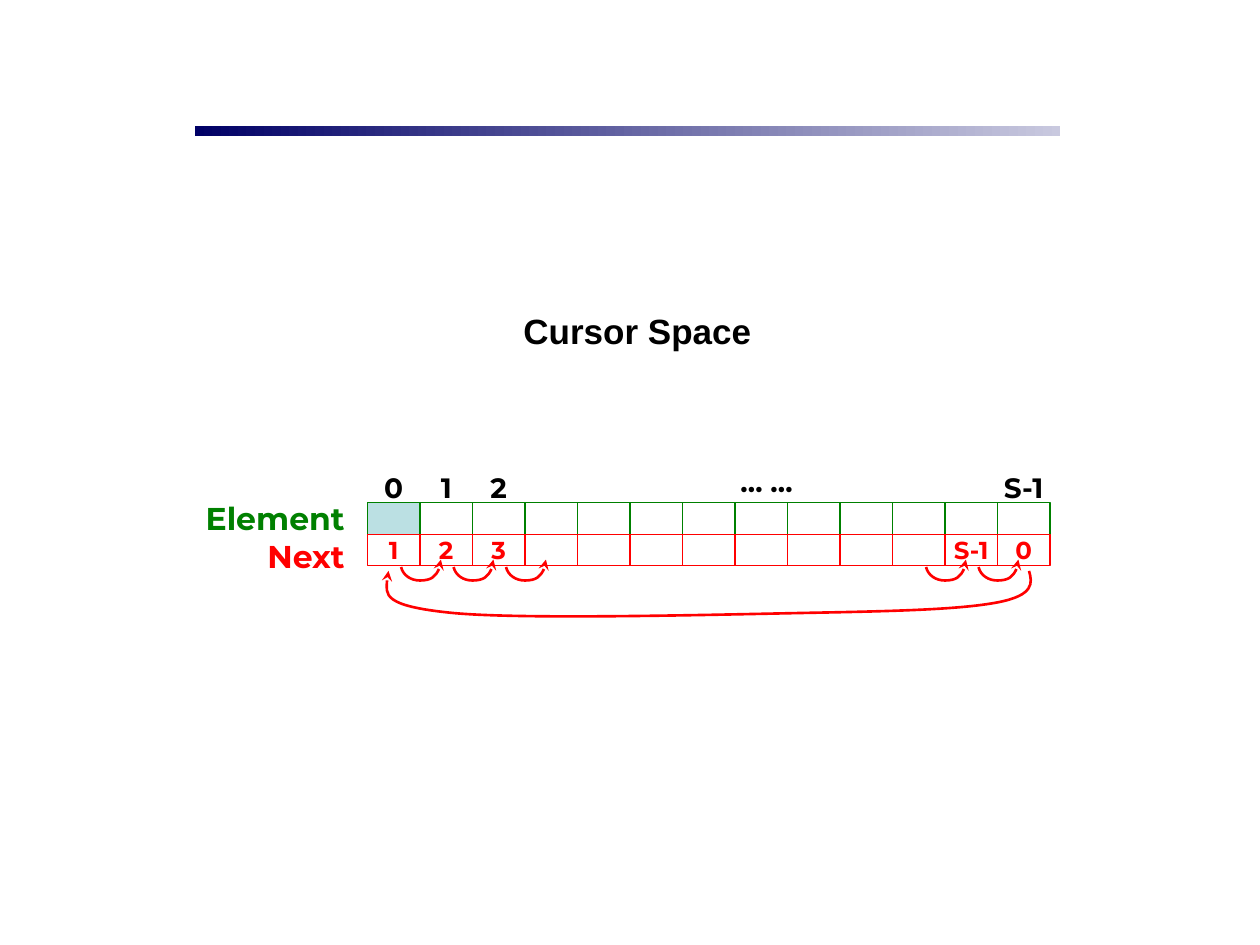
from dataclasses import dataclass

from lxml.etree import SubElement
from pptx import Presentation
from pptx.dml.color import RGBColor
from pptx.enum.shapes import MSO_SHAPE
from pptx.enum.text import MSO_ANCHOR, MSO_AUTO_SIZE, PP_ALIGN
from pptx.oxml.ns import qn
from pptx.util import Pt


@dataclass(frozen=True)
class Theme:
    """Colours, fonts and type sizes of the slide."""
    black: RGBColor = RGBColor(0, 0, 0)
    green: RGBColor = RGBColor(0, 0x80, 0)
    red: RGBColor = RGBColor(0xFF, 0, 0)
    used: RGBColor = RGBColor(0xBB, 0xE0, 0xE3)
    bar_start: RGBColor = RGBColor(0, 0, 0x66)
    bar_end: RGBColor = RGBColor(0xC9, 0xC9, 0xDF)
    title_font: str = "Arial"
    font: str = "Montserrat"
    title_size: int = 20
    label_size: int = 18
    index_size: int = 16
    next_size: int = 14
    cell_line: float = 0.75
    arrow_line: float = 1.5


THEME = Theme()
COLUMNS, CELL_W, CELL_H = 13, 30, 18
INDICES = {0: "0", 1: "1", 2: "2", 12: "S-1"}
NEXT = {0: "1", 1: "2", 2: "3", 11: "S-1", 12: "0"}
LINKED_BORDERS = (1, 2, 3, 11, 12)
HOP = [(-10.8, 4.3), (-9.6, 9.2), (-5, 12), (0, 12), (6.8, 12), (12, 7.2), (12, 0)]
LOOP = [(378, 3), (380, 10), (381, 17), (360, 21), (339, 25), (304, 26), (252, 27),
        (200, 28), (88, 31), (48, 27), (8, 23), (10, 13), (12, 3)]


def write(sp, lines, size, font=THEME.font, align=PP_ALIGN.CENTER,
          anchor=MSO_ANCHOR.MIDDLE, wrap=False):
    """Write (text, colour) lines in bold into a shape."""
    tf = sp.text_frame
    tf.auto_size = MSO_AUTO_SIZE.NONE
    tf.word_wrap = wrap
    tf.vertical_anchor = anchor
    for i, (text, color) in enumerate(lines):
        p = tf.add_paragraph() if i else tf.paragraphs[0]
        p.text = text
        p.alignment = align
        p.font.name = font
        p.font.size = Pt(size)
        p.font.bold = True
        p.font.color.rgb = color


def add_bar(s, x, y, w, h):
    """Draw the gradient rule across the top."""
    sp = s.shapes.add_shape(MSO_SHAPE.RECTANGLE, Pt(x), Pt(y), Pt(w), Pt(h))
    sp.shadow.inherit = False
    sp.line.fill.background()
    sp.fill.gradient()
    sp.fill.gradient_angle = 0
    for stop, color in zip(sp.fill.gradient_stops, (THEME.bar_start, THEME.bar_end)):
        stop.color.rgb = color


def add_title(s, x, y, w, h):
    """Place and format the title."""
    sp = s.shapes.title
    sp.left, sp.top, sp.width, sp.height = Pt(x), Pt(y), Pt(w), Pt(h)
    write(sp, [("Cursor Space", THEME.black)], THEME.title_size, THEME.title_font,
          anchor=MSO_ANCHOR.TOP)


def add_row_labels(s, x, y, w, h):
    """Name the two rows of the array."""
    sp = s.shapes.add_textbox(Pt(x), Pt(y), Pt(w), Pt(h))
    write(sp, [("Element", THEME.green), ("Next", THEME.red)], THEME.label_size,
          align=PP_ALIGN.RIGHT, anchor=MSO_ANCHOR.TOP, wrap=True)


def add_indices(s, x, y):
    """Write the cell indices above the array whose corner is given."""
    for col, text in INDICES.items():
        sp = s.shapes.add_textbox(Pt(x + col * CELL_W), Pt(y - CELL_H), Pt(CELL_W), Pt(CELL_H))
        write(sp, [(text, THEME.black)], THEME.index_size)
    sp = s.shapes.add_textbox(Pt(x + 6 * CELL_W), Pt(y - 24), Pt(96), Pt(24))
    write(sp, [("… …", THEME.black)], THEME.index_size)


def add_row(s, x, y, color, values, filled=()):
    """Draw one row of cells with the given values and filled columns."""
    for col in range(COLUMNS):
        sp = s.shapes.add_shape(MSO_SHAPE.RECTANGLE, Pt(x + col * CELL_W), Pt(y),
                                Pt(CELL_W), Pt(CELL_H))
        sp.shadow.inherit = False
        sp.line.color.rgb = color
        sp.line.width = Pt(THEME.cell_line)
        if col in filled:
            sp.fill.solid()
            sp.fill.fore_color.rgb = THEME.used
        else:
            sp.fill.background()
        if col in values:
            write(sp, [(values[col], color)], THEME.next_size)


def add_curve(s, x, y, points):
    """Draw an arrow along chained cubic curves, offset from a corner."""
    pts = [(Pt(x + dx), Pt(y + dy)) for dx, dy in points]
    builder = s.shapes.build_freeform(*pts[0])
    builder.add_line_segments(pts[1:], close=False)
    sp = builder.convert_to_shape()
    sp.shadow.inherit = False
    sp.fill.background()
    sp.line.color.rgb = THEME.red
    sp.line.width = Pt(THEME.arrow_line)
    SubElement(sp.line._get_or_add_ln(), qn("a:tailEnd"), type="stealth")
    outline = next(sp._element.iter(qn("a:path")))
    segments = outline.findall(qn("a:lnTo"))
    for i in range(0, len(segments), 3):
        curve = SubElement(outline, qn("a:cubicBezTo"))
        for segment in segments[i:i + 3]:
            curve.append(segment[0])
            outline.remove(segment)


def add_cursor_array(s, x, y):
    """Draw the cursor array with its indices and links."""
    add_indices(s, x, y)
    add_row(s, x, y, THEME.green, {}, filled=(0,))
    add_row(s, x, y + CELL_H, THEME.red, NEXT)
    bottom = y + 2 * CELL_H
    for border in LINKED_BORDERS:
        add_curve(s, x + border * CELL_W, bottom - 3.5, HOP)
    add_curve(s, x, bottom, LOOP)


def main():
    """Build the slide and save it."""
    prs = Presentation()
    prs.slide_width, prs.slide_height = Pt(720), Pt(540)
    s = prs.slides.add_slide(prs.slide_layouts[5])
    add_bar(s, 111.5, 72, 494.5, 6)
    add_title(s, 285, 173.5, 158.5, 31.5)
    add_row_labels(s, 108, 281.5, 96, 50.5)
    add_cursor_array(s, 210, 287.25)
    prs.save("out.pptx")


if __name__ == "__main__":
    main()
